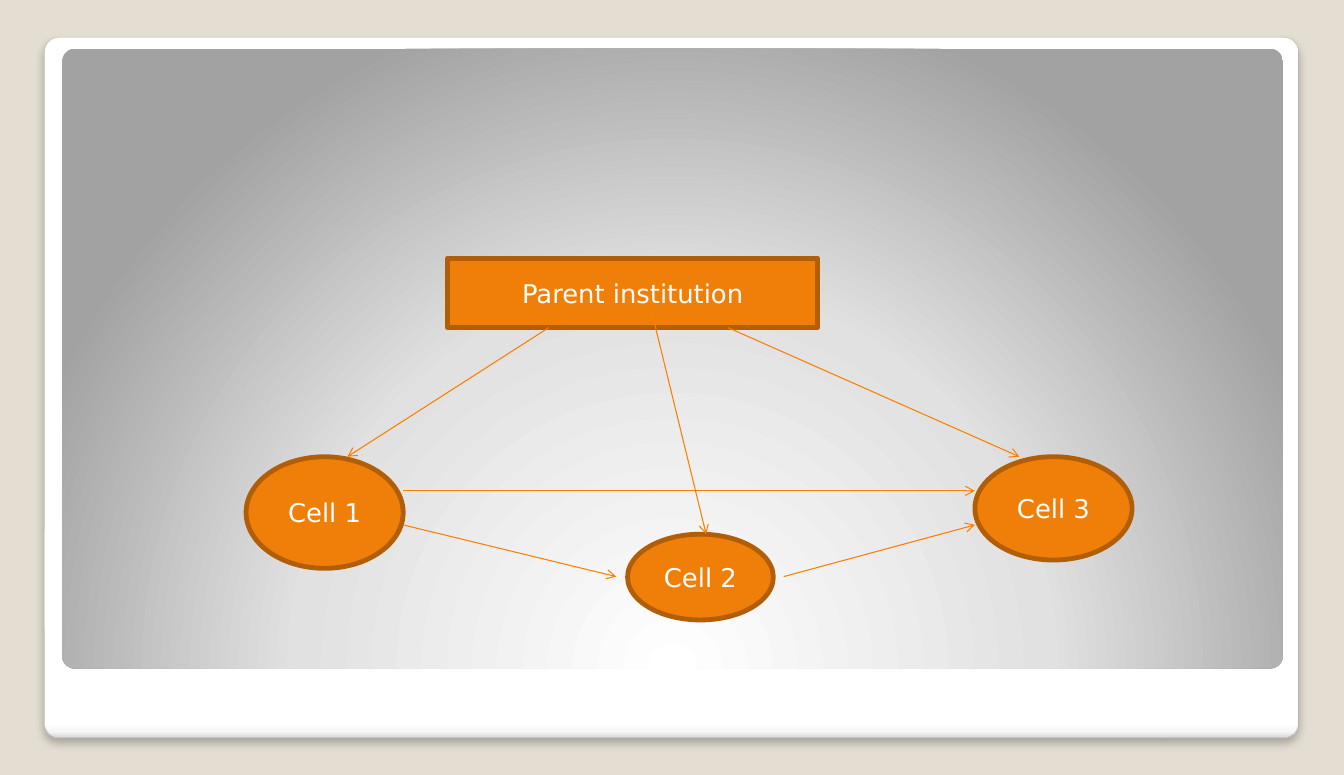
from pptx import Presentation
from pptx.dml.color import RGBColor
from pptx.enum.shapes import MSO_CONNECTOR, MSO_SHAPE
from pptx.enum.text import MSO_ANCHOR, PP_ALIGN
from pptx.oxml import parse_xml
from pptx.oxml.ns import nsdecls, qn
from pptx.util import Inches, Pt

RECT, OVAL, ROUNDED = MSO_SHAPE.RECTANGLE, MSO_SHAPE.OVAL, MSO_SHAPE.ROUNDED_RECTANGLE
STRAIGHT = MSO_CONNECTOR.STRAIGHT
MIDDLE, CENTER = MSO_ANCHOR.MIDDLE, PP_ALIGN.CENTER

THEME = {
    "background": "E3DED1", "frame_line": "A4A4A4", "shadow": "000000",
    "node": "F07F09", "node_line": "B25E07", "arrow": "F97F00", "text": "FFFFFF",
    "font": "DejaVu Sans", "size": 18,
    "frame_width": 0.16, "node_width": 3.35, "arrow_width": 0.75,
    "corner": 0.021,
}

# Panels: box, gradient stops (percent, colour), gradient direction
DOWNWARD = '<a:lin ang="5400000" scaled="0"/>'
RADIAL = ('<a:path path="circle"><a:fillToRect l="50000" t="175000" '
          'r="50000" b="-75000"/></a:path>')
FRAME = ((0.43, 0.36, 12.13, 6.78),
         [(0, "FFFFFF"), (98, "FFFFFF"), (99, "F7F7F7"), (100, "DADADA")], DOWNWARD)
PANEL = ((0.6, 0.47, 11.81, 6),
         [(0, "FFFFFF"), (55, "E1E1E1"), (100, "A2A2A2")], RADIAL)

# Nodes: label, preset, box
NODES = [
    ("Parent institution", RECT, (4.33, 2.5, 3.58, 0.67)),
    ("Cell 1", OVAL, (2.38, 4.42, 1.52, 1.08)),
    ("Cell 2", OVAL, (6.07, 5.17, 1.41, 0.83)),
    ("Cell 3", OVAL, (9.43, 4.42, 1.52, 1)),
]

# Arrows: start, end
ARROWS = [
    ((5.31, 3.17), (3.36, 4.42)),  # parent to cell 1
    ((6.28, 2.92), (6.83, 5.17)),  # parent to cell 2
    ((7.04, 3.17), (9.86, 4.42)),  # parent to cell 3
    ((3.9, 5.08), (5.96, 5.58)),   # cell 1 to cell 2
    ((7.58, 5.58), (9.43, 5.08)),  # cell 2 to cell 3
    ((3.9, 4.75), (9.43, 4.75)),   # cell 1 to cell 3
]


def color(name):
    return RGBColor.from_string(THEME[name])


def set_line(line, name, width):
    line.color.rgb = color(name)
    line.width = Pt(THEME[width])


def add_shape(s, preset, box):
    sp = s.shapes.add_shape(preset, *map(Inches, box))
    sp.shadow.inherit = False
    return sp


def add_panel(s, box, stops, direction):
    sp = add_shape(s, ROUNDED, box)
    sp.adjustments[0] = THEME["corner"]
    sp.line.fill.background()
    sp.fill.background()
    stop_xml = "".join(f'<a:gs pos="{pos * 1000}"><a:srgbClr val="{rgb}"/></a:gs>'
                       for pos, rgb in stops)
    gradient = parse_xml(f'<a:gradFill {nsdecls("a")} rotWithShape="1">'
                         f'<a:gsLst>{stop_xml}</a:gsLst>{direction}</a:gradFill>')
    sp_pr = sp.element.spPr
    sp_pr.replace(sp_pr.find(qn("a:noFill")), gradient)
    return sp


def add_drop_shadow(sp):
    sp.element.spPr.find(qn("a:effectLst")).append(parse_xml(
        f'<a:outerShdw {nsdecls("a")} blurRad="{Pt(6)}" dist="{Pt(4)}" '
        f'dir="5400000" algn="t" rotWithShape="0"><a:srgbClr val="{THEME["shadow"]}">'
        '<a:alpha val="25000"/></a:srgbClr></a:outerShdw>'))


def add_node(s, label, preset, box):
    sp = add_shape(s, preset, box)
    sp.fill.solid()
    sp.fill.fore_color.rgb = color("node")
    set_line(sp.line, "node_line", "node_width")
    tf = sp.text_frame
    tf.word_wrap = True
    tf.vertical_anchor = MIDDLE
    p = tf.paragraphs[0]
    p.alignment = CENTER
    r = p.add_run()
    r.text = label
    r.font.name = THEME["font"]
    r.font.size = Pt(THEME["size"])
    r.font.color.rgb = color("text")


def add_arrow(s, start, end):
    arrow = s.shapes.add_connector(STRAIGHT, *map(Inches, start + end))
    set_line(arrow.line, "arrow", "arrow_width")
    arrow.line._get_or_add_ln().append(
        parse_xml(f'<a:tailEnd {nsdecls("a")} type="arrow"/>'))
    arrow.element.spPr.append(parse_xml(f'<a:effectLst {nsdecls("a")}/>'))


def main():
    prs = Presentation()
    prs.slide_width, prs.slide_height = Inches(13), Inches(7.5)
    s = prs.slides.add_slide(prs.slide_layouts[6])
    s.background.fill.solid()
    s.background.fill.fore_color.rgb = color("background")

    # White frame and grey panel
    frame = add_panel(s, *FRAME)
    set_line(frame.line, "frame_line", "frame_width")
    add_drop_shadow(frame)
    add_panel(s, *PANEL)

    # Institution, its cells and their links
    for node in NODES:
        add_node(s, *node)
    for arrow in ARROWS:
        add_arrow(s, *arrow)

    prs.save("out.pptx")


if __name__ == "__main__":
    main()
